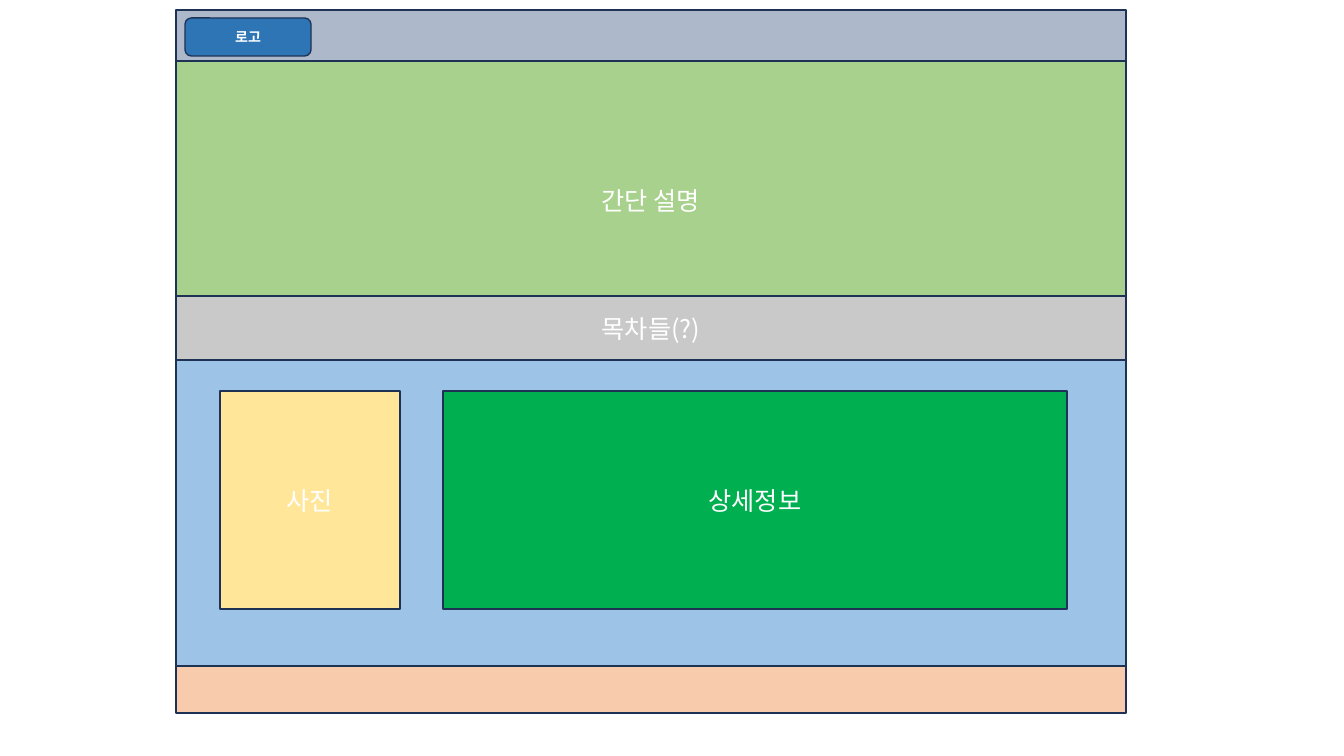
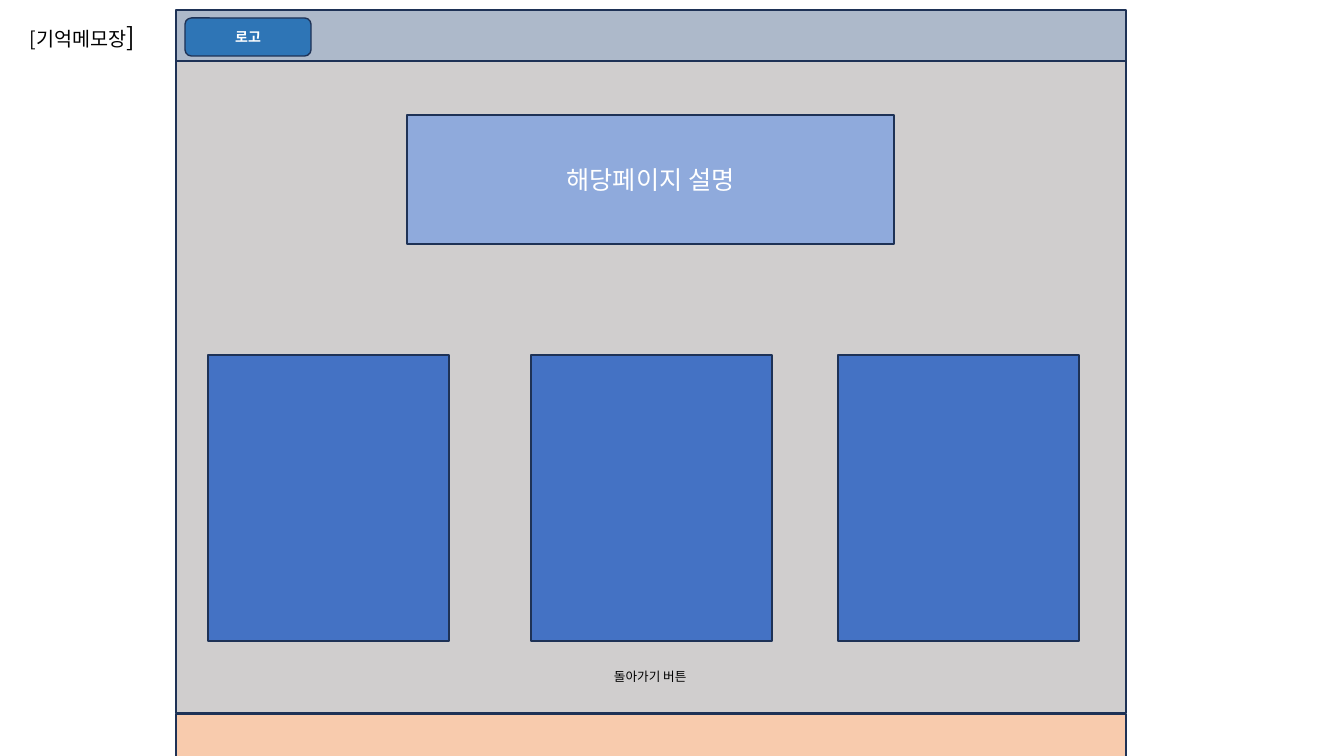
from lxml.etree import SubElement
from pptx import Presentation
from pptx.dml.color import RGBColor
from pptx.enum.shapes import MSO_SHAPE
from pptx.enum.text import MSO_ANCHOR, MSO_AUTO_SIZE, PP_ALIGN
from pptx.oxml.ns import qn
from pptx.util import Emu, Pt

FONT = "Noto Sans CJK KR"
WHITE = RGBColor(0xFF, 0xFF, 0xFF)
BLACK = RGBColor(0x00, 0x00, 0x00)
OUTLINE = RGBColor(0x1E, 0x32, 0x56)
HEADER = RGBColor(0xAD, 0xB9, 0xCA)
LOGO = RGBColor(0x2E, 0x75, 0xB6)
FOOTER = RGBColor(0xF8, 0xCB, 0xAD)
INTRO = RGBColor(0xA9, 0xD1, 0x8E)
MENU = RGBColor(0xC9, 0xC9, 0xC9)
CONTENT = RGBColor(0x9D, 0xC3, 0xE6)
PHOTO = RGBColor(0xFF, 0xE6, 0x99)
DETAIL = RGBColor(0x00, 0xB0, 0x50)
PAGE = RGBColor(0xD0, 0xCE, 0xCE)
SUMMARY = RGBColor(0x8F, 0xAA, 0xDC)
CARD = RGBColor(0x44, 0x72, 0xC4)

SLIDE_W, SLIDE_H = 1344, 756
FRAME_X, FRAME_W = 176, 950


def px(n):
    """Turn pixels at 100.8 to the inch into EMU."""
    return Emu(round(n * 9144000 / 1008))


def add_text(p, text, size=18, color=WHITE, bold=False):
    """Append a formatted run to a paragraph."""
    r = p.add_run()
    r.text = text
    r.font.name = FONT
    r.font.size = Pt(size)
    r.font.bold = bold
    r.font.color.rgb = color
    SubElement(r.font._element, qn("a:ea"), typeface=FONT)


def add_box(s, box, fill, text="", kind=MSO_SHAPE.RECTANGLE, **fmt):
    """Draw an outlined shape with optional centred text."""
    sp = s.shapes.add_shape(kind, *map(px, box))
    sp.shadow.inherit = False
    sp.fill.solid()
    sp.fill.fore_color.rgb = fill
    sp.line.color.rgb = OUTLINE
    sp.line.width = Pt(1)
    if text:
        tf = sp.text_frame
        tf.vertical_anchor = MSO_ANCHOR.MIDDLE
        p = tf.paragraphs[0]
        p.alignment = PP_ALIGN.CENTER
        add_text(p, text, **fmt)


def add_label(s, box, *runs):
    """Place a black text box made of (text, size) runs."""
    tf = s.shapes.add_textbox(*map(px, box)).text_frame
    tf.word_wrap = True
    tf.auto_size = MSO_AUTO_SIZE.SHAPE_TO_FIT_TEXT
    for text, size in runs:
        add_text(tf.paragraphs[0], text, size=size, color=BLACK)


def add_header(s, box):
    """Draw the top band with its logo button."""
    x, y, w, h = box
    add_box(s, box, HEADER)
    add_box(s, (x + 9, y + 8, 126, 38), LOGO, "로고",
            kind=MSO_SHAPE.ROUNDED_RECTANGLE, size=10, bold=True)


def add_content(s, box):
    """Draw the content area with photo and details."""
    x, y, w, h = box
    add_box(s, box, CONTENT)
    add_box(s, (x + 44, y + 55, 180, 218), PHOTO, "사진")
    add_box(s, (x + 267, y + 55, 624, 218), DETAIL, "상세정보")


def add_page(s, box):
    """Draw the page body with summary, cards and back button."""
    x, y, w, h = box
    add_box(s, box, PAGE)
    add_box(s, (x + 231, y + 54, 487, 129), SUMMARY, "해당페이지 설명")
    for dx in (32, 355, 662):
        add_box(s, (x + dx, y + 294, 241, 286), CARD)
    add_label(s, (x + 428, y + 603, 196, 25), ("돌아가기 버튼", 9))


def new_slide(prs, footer_y):
    """Add a blank slide with the shared header and footer."""
    s = prs.slides.add_slide(prs.slide_layouts[6])
    add_header(s, (FRAME_X, 10, FRAME_W, 51))
    add_box(s, (FRAME_X, footer_y, FRAME_W, 47), FOOTER)
    return s


def build_home(prs):
    """Build the home page wireframe."""
    s = new_slide(prs, 666)
    add_box(s, (FRAME_X, 61, FRAME_W, 278), INTRO, "간단 설명")
    add_content(s, (FRAME_X, 336, FRAME_W, 330))
    add_box(s, (FRAME_X, 296, FRAME_W, 64), MENU, "목차들(?)")


def build_memo(prs):
    """Build the memo page wireframe."""
    s = new_slide(prs, 714)
    add_label(s, (20, 16, 165, 40), ("[기억메모장", 14), ("]", 18))
    add_page(s, (FRAME_X, 61, FRAME_W, 652))


def main():
    """Build and save the presentation."""
    prs = Presentation()
    prs.slide_width, prs.slide_height = px(SLIDE_W), px(SLIDE_H)
    build_home(prs)
    build_memo(prs)
    prs.save("out.pptx")


if __name__ == "__main__":
    main()
